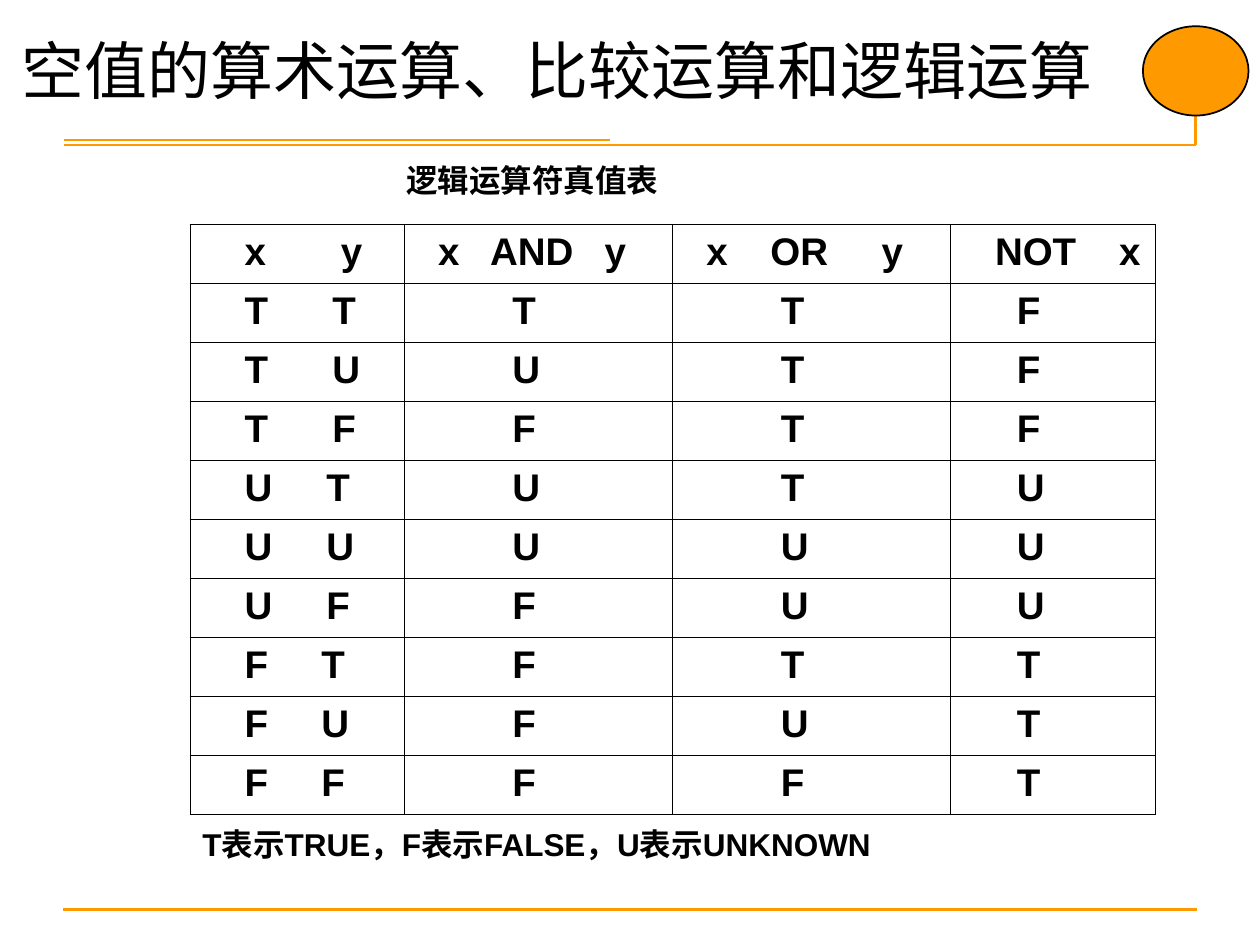
from lxml import etree
from pptx import Presentation
from pptx.dml.color import RGBColor
from pptx.enum.shapes import MSO_CONNECTOR, MSO_SHAPE
from pptx.enum.text import MSO_ANCHOR
from pptx.oxml.ns import qn
from pptx.util import Cm, Pt
from pptx.enum.text import PP_ALIGN

STRAIGHT = MSO_CONNECTOR.STRAIGHT
OVAL = MSO_SHAPE.OVAL
TOP = MSO_ANCHOR.TOP
LEFT = PP_ALIGN.LEFT

COLORS = {"text": "000000", "accent": "FF9900"}
LATIN, CJK = "Arial", "Noto Sans CJK SC"

TITLE = "空值的算术运算、比较运算和逻辑运算"
CAPTION = "逻辑运算符真值表"
LEGEND = "T表示TRUE，F表示FALSE，U表示UNKNOWN"

HEADER = ["x\ty", "x\tAND\ty", "x\tOR\ty", "NOT\tx"]
TRUTH = ["TTTTF", "TUUTF", "TFFTF", "UTUTU", "UUUUU", "UFFUU", "FTFTT", "FUFUT", "FFFFT"]

COL_WIDTHS = [4.32, 5.41, 5.59, 4.15]
ROW_HEIGHT = 1.19
HEADER_INSETS = [1.1, 0.68, 0.68, 0.91]
HEADER_TABS = [[1.94], [1.05, 3.36], [1.29, 3.53], [2.5]]
BODY_INSETS = [1.1, 2.18, 2.18, 1.35]
PAIR_TAB = {"T": 1.77, "U": 1.65, "F": 1.55}

RULES = [
    (1.27, 18.34, 24.13, 18.34),
    (1.3, 2.92, 24.1, 2.92),
    (24.1, 0.71, 24.1, 2.92),
    (1.3, 2.82, 12.3, 2.82),
]


def rgb(name):
    return RGBColor.from_string(COLORS[name])


def write(tf, text, size, bold=False, latin=LATIN, tabs=()):
    tf.text = text
    p = tf.paragraphs[0]
    p.alignment = LEFT
    if tabs:
        tab_list = etree.SubElement(p._p.get_or_add_pPr(), qn("a:tabLst"))
        for pos in tabs:
            etree.SubElement(tab_list, qn("a:tab"), pos=str(Cm(pos)), algn="l")
    for r in p.runs:
        r.font.size, r.font.bold, r.font.name = Pt(size), bold, latin
        r.font.color.rgb = rgb("text")
        etree.SubElement(r._r.get_or_add_rPr(), qn("a:ea"), typeface=CJK)


def add_rule(s, x1, y1, x2, y2):
    line = s.shapes.add_connector(STRAIGHT, Cm(x1), Cm(y1), Cm(x2), Cm(y2))
    line.line.color.rgb = rgb("accent")
    line.line.width = Pt(1.5)
    etree.SubElement(line._element.spPr, qn("a:effectLst"))


def add_label(s, text, x, y, w, h, inset=0.25):
    tf = s.shapes.add_textbox(Cm(x), Cm(y), Cm(w), Cm(h)).text_frame
    tf.word_wrap = True
    tf.margin_left = Cm(inset)
    write(tf, text, 18, bold=True)


def add_borders(cell):
    tcPr = cell._tc.get_or_add_tcPr()
    for i, side in enumerate(("lnL", "lnR", "lnT", "lnB")):
        ln = etree.Element(qn("a:" + side), w=str(Pt(0.45)))
        fill = etree.SubElement(ln, qn("a:solidFill"))
        etree.SubElement(fill, qn("a:srgbClr"), val=COLORS["text"])
        tcPr.insert(i, ln)


def add_truth_table(s):
    rows = [list(zip(HEADER, HEADER_INSETS, HEADER_TABS))]
    for x, y, *results in TRUTH:
        tabs = [[PAIR_TAB[x]], [], [], []]
        rows.append(list(zip([f"{x}\t{y}", *results], BODY_INSETS, tabs)))
    table = s.shapes.add_table(
        len(rows), len(COL_WIDTHS), Cm(3.83), Cm(4.52),
        Cm(sum(COL_WIDTHS)), Cm(ROW_HEIGHT * len(rows))).table
    table.first_row = table.horz_banding = False
    for col, width in zip(table.columns, COL_WIDTHS):
        col.width = Cm(width)
    for i, row in enumerate(rows):
        table.rows[i].height = Cm(ROW_HEIGHT)
        for j, (text, inset, tabs) in enumerate(row):
            cell = table.cell(i, j)
            cell.fill.background()
            cell.margin_left, cell.margin_right = Cm(inset), Cm(0.1)
            add_borders(cell)
            write(cell.text_frame, text, 22, bold=True, tabs=tabs)


def main():
    prs = Presentation()
    prs.slide_width, prs.slide_height = Cm(25.4), Cm(19.05)
    s = prs.slides.add_slide(prs.slide_layouts[5])

    for rule in RULES:
        add_rule(s, *rule)

    oval = s.shapes.add_shape(OVAL, Cm(23.04), Cm(0.53), Cm(2.13), Cm(1.8))
    oval.shadow.inherit = False
    oval.fill.solid()
    oval.fill.fore_color.rgb = rgb("accent")
    oval.line.color.rgb = rgb("text")
    oval.line.width = Pt(1)

    title = s.shapes.title
    title.left, title.top, title.width, title.height = Cm(0.18), Cm(0.51), Cm(25.3), Cm(3.15)
    tf = title.text_frame
    tf.vertical_anchor = TOP
    tf.margin_top = Cm(0.13)
    write(tf, TITLE, 36, latin="Times New Roman")

    add_truth_table(s)
    add_label(s, LEGEND, 3.83, 16.51, 15.77, 1.02)
    add_label(s, CAPTION, 7.37, 3.12, 9.53, 1.02, inset=0.82)
    prs.save("out.pptx")


if __name__ == "__main__":
    main()
